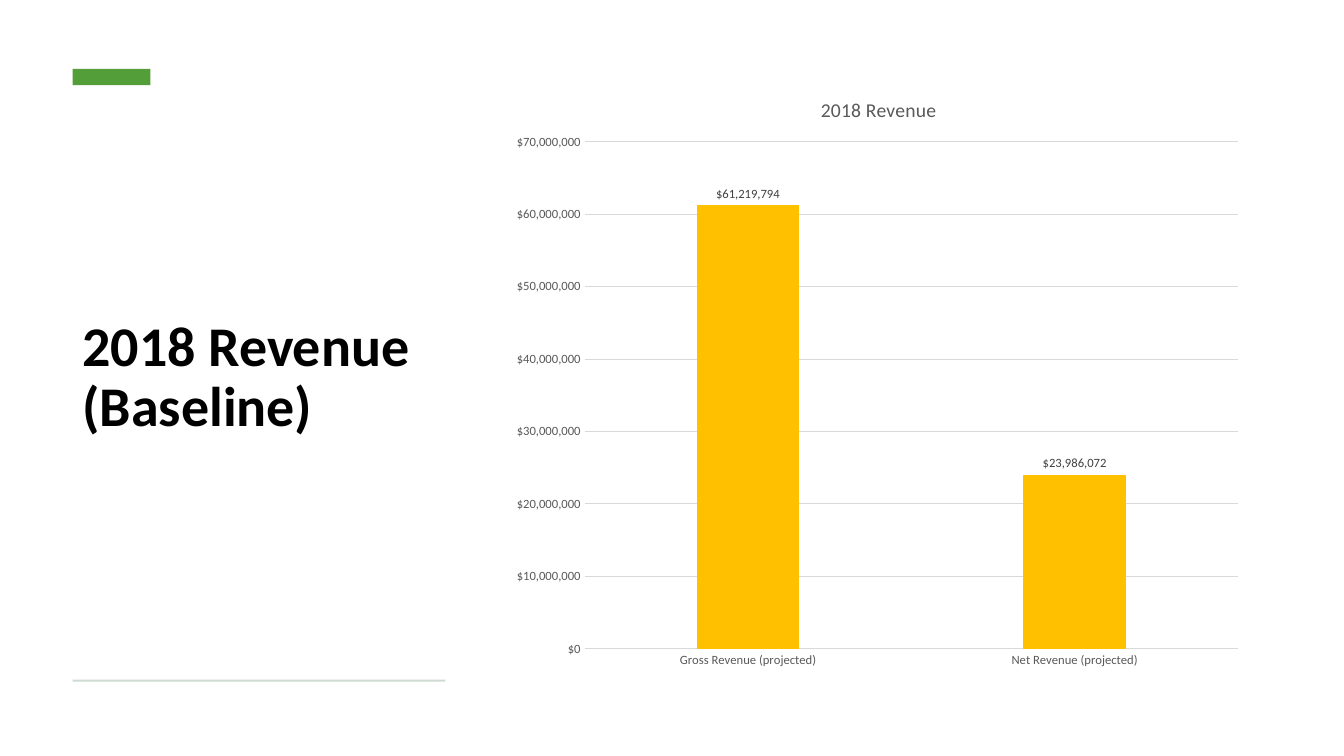
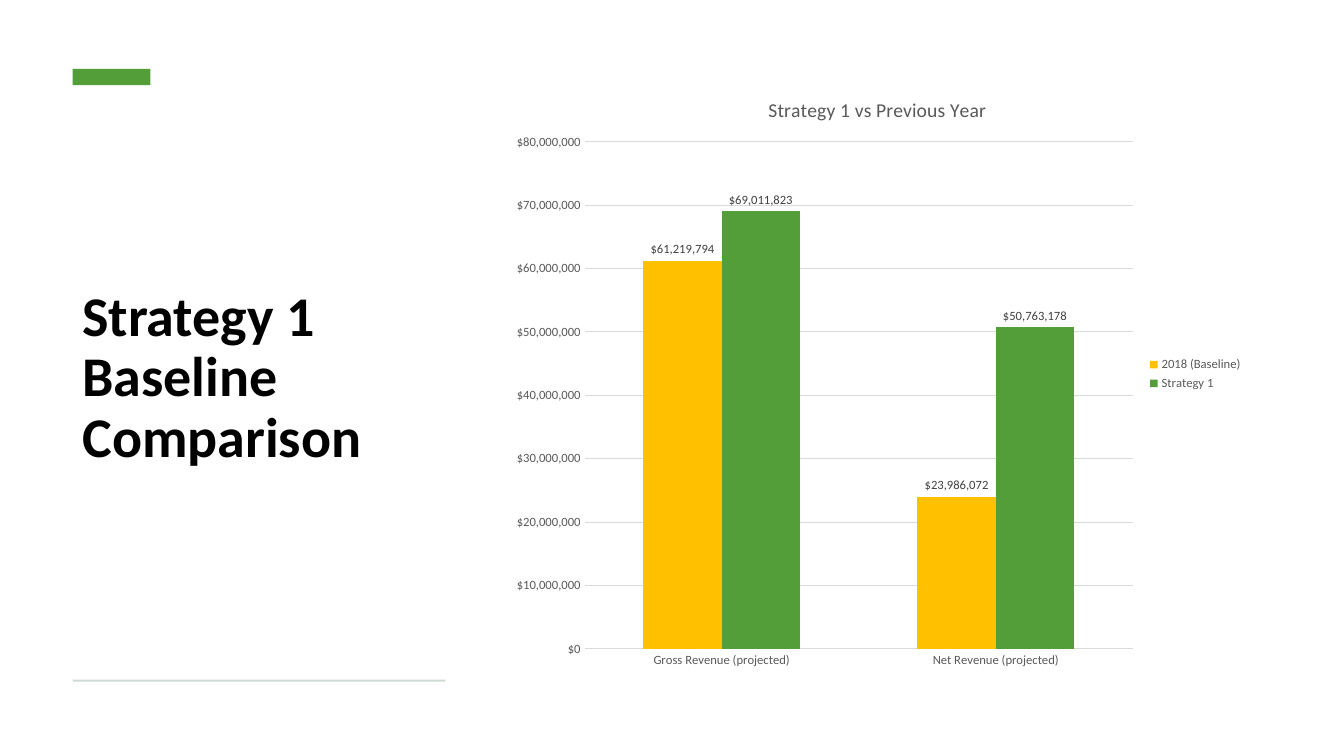
from dataclasses import dataclass

import lxml.etree
import pptx
import pptx.chart.data
import pptx.dml.color
import pptx.enum.chart
import pptx.enum.shapes
import pptx.enum.text
import pptx.oxml.ns
import pptx.util

WIDE, HIGH = 13.33, 7.5
FONT = "Calibri"
BLACK, GOLD, GREEN, RULE = "000000", "FFC000", "549E39", "CDDBD3"
GRAY, DARK, PALE = "595959", "404040", "D9D9D9"
CASH = '"$"#,##0'
CATS = ("Gross Revenue (projected)", "Net Revenue (projected)")


@dataclass(frozen=True)
class Box:
    """Left, top, width and height in percent of the slide."""
    x: float
    y: float
    w: float
    h: float

    def place(self) -> tuple:
        parts = ((self.x, WIDE), (self.y, HIGH), (self.w, WIDE), (self.h, HIGH))
        return tuple(pptx.util.Inches(part * full / 100) for part, full in parts)


@dataclass(frozen=True)
class Series:
    name: str
    vals: tuple
    color: str


@dataclass(frozen=True)
class Page:
    title: str
    head: str
    series: tuple
    top: int
    gap: int
    lap: int
    key: bool
    left: float
    plot: tuple


LEFT, SPAN = 5.4, 27.75
TITLE = Box(LEFT, 14, SPAN, 72.13)
BANDS = ((Box(LEFT, 9.1, 5.8, 2.15), GREEN), (Box(LEFT, 89.9, SPAN, 0.27), RULE))
CHART = Box(37.35, 9.07, 55.88, 80.8)

BASE = (61219794, 23986072)
PAGES = (
    Page("2018 Revenue (Baseline)", "2018 Revenue",
         (Series("Series 1", BASE, GOLD),),
         70_000_000, 219, -27, False, 0.42, (0.11, 0.12, 0.87, 0.83)),
    Page("Strategy 1\nBaseline Comparison", "Strategy 1 vs Previous Year",
         (Series("2018 (Baseline)", BASE, GOLD),
          Series("Strategy 1", (69011823, 50763178), GREEN)),
         80_000_000, 150, 0, True, 0.35, (0.11, 0.12, 0.73, 0.83)),
)


def tint(code: str) -> pptx.dml.color.RGBColor:
    return pptx.dml.color.RGBColor.from_string(code)


def style(font, size: float, color: str, bold: bool = False) -> None:
    font.name = FONT
    font.size = pptx.util.Pt(size)
    font.bold = bold
    font.color.rgb = tint(color)


def write(frame, text: str, *, size: float, color: str,
          bold: bool = False, space: float = 1.0) -> None:
    para = frame.paragraphs[0]
    para.line_spacing = space
    for i, line in enumerate(text.split("\n")):
        if i:
            para.add_line_break()
        run = para.add_run()
        run.text = line
        style(run.font, size, color, bold)


def band(slide, box: Box, color: str) -> None:
    shape = slide.shapes.add_shape(
        pptx.enum.shapes.MSO_SHAPE.RECTANGLE, *box.place())
    shape.shadow.inherit = False
    shape.fill.solid()
    shape.fill.fore_color.rgb = tint(color)
    shape.line.fill.background()


def layout(node, index: int, **spots) -> None:
    qn = pptx.oxml.ns.qn
    for old in node.findall(qn("c:layout")):
        node.remove(old)
    outer = lxml.etree.Element(qn("c:layout"))
    inner = lxml.etree.SubElement(outer, qn("c:manualLayout"))
    for tag, val in spots.items():
        lxml.etree.SubElement(inner, qn(f"c:{tag}")).set("val", str(val))
    node.insert(index, outer)


def rule(line) -> None:
    line.color.rgb = tint(PALE)
    line.width = pptx.util.Pt(0.75)


def axes(chart, top: int) -> None:
    cat, val = chart.category_axis, chart.value_axis
    for axis in (cat, val):
        axis.major_tick_mark = pptx.enum.chart.XL_TICK_MARK.NONE
        axis.minor_tick_mark = pptx.enum.chart.XL_TICK_MARK.NONE
        style(axis.tick_labels.font, 9, GRAY)
    rule(cat.format.line)
    val.format.line.fill.background()
    val.has_major_gridlines = True
    rule(val.major_gridlines.format.line)
    val.minimum_scale, val.maximum_scale = 0, top
    val.major_unit = 10_000_000
    val.tick_labels.number_format = CASH
    val.tick_labels.number_format_is_linked = False


def bars(plot, page: Page) -> None:
    plot.gap_width, plot.overlap = page.gap, page.lap
    plot.vary_by_categories = False
    for item, data in zip(plot.series, page.series):
        item.format.fill.solid()
        item.format.fill.fore_color.rgb = tint(data.color)
        tags = item.data_labels
        tags.show_value = True
        tags.number_format = CASH
        tags.number_format_is_linked = False
        tags.position = pptx.enum.chart.XL_LABEL_POSITION.OUTSIDE_END
        style(tags.font, 9, DARK)


def graph(slide, page: Page) -> None:
    data = pptx.chart.data.CategoryChartData(number_format=CASH)
    data.categories = CATS
    for item in page.series:
        data.add_series(item.name, item.vals)
    chart = slide.shapes.add_chart(
        pptx.enum.chart.XL_CHART_TYPE.COLUMN_CLUSTERED,
        *CHART.place(), data).chart
    style(chart.font, 10, BLACK)
    chart.has_title = True
    write(chart.chart_title.text_frame, page.head, size=14, color=GRAY)
    axes(chart, page.top)
    bars(chart.plots[0], page)
    chart.has_legend = page.key
    if page.key:
        chart.legend.position = pptx.enum.chart.XL_LEGEND_POSITION.RIGHT
        chart.legend.include_in_layout = False
        style(chart.legend.font, 9, GRAY)
    root = chart.element.chart
    layout(root.find(pptx.oxml.ns.qn("c:title")), 1,
           xMode="edge", yMode="edge", x=page.left, y=0.04)
    x, y, w, h = page.plot
    layout(root.plotArea, 0, layoutTarget="inner", xMode="edge", yMode="edge",
           x=x, y=y, w=w, h=h)


def draw(deck, page: Page) -> None:
    slide = deck.slides.add_slide(deck.slide_layouts[6])
    frame = slide.shapes.add_textbox(*TITLE.place()).text_frame
    frame.word_wrap = True
    frame.vertical_anchor = pptx.enum.text.MSO_ANCHOR.MIDDLE
    write(frame, page.title, size=40, color=BLACK, bold=True, space=0.9)
    for box, color in BANDS:
        band(slide, box, color)
    graph(slide, page)


def main() -> None:
    deck = pptx.Presentation()
    deck.slide_width = pptx.util.Inches(WIDE)
    deck.slide_height = pptx.util.Inches(HIGH)
    for page in PAGES:
        draw(deck, page)
    deck.save("out.pptx")


if __name__ == "__main__":
    main()
